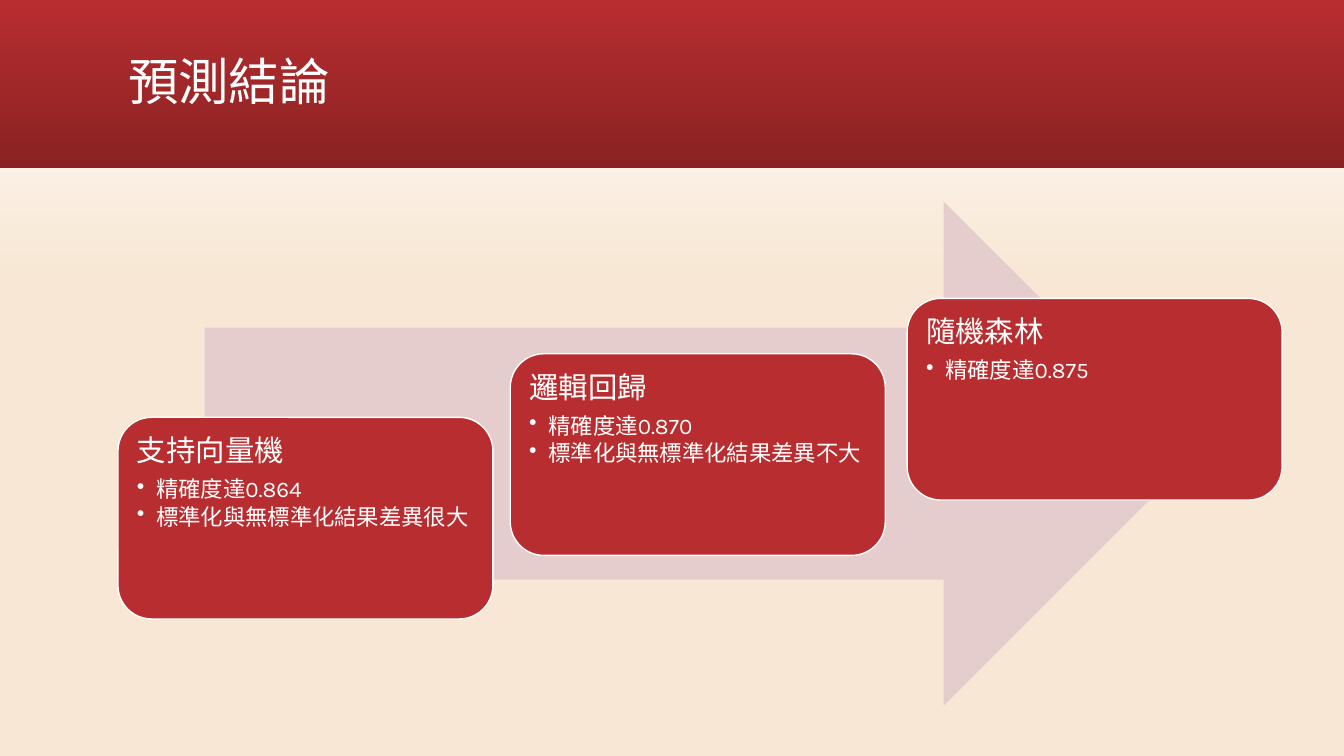
import dataclasses

import lxml.etree
import pptx
import pptx.dml.color
import pptx.enum.shapes
import pptx.enum.text
import pptx.oxml.ns
import pptx.util

SHAPE = pptx.enum.shapes.MSO_SHAPE


@dataclasses.dataclass(frozen=True)
class Theme:
    red: str = "B82D2F"
    dark_red: str = "8A2223"
    rose: str = "E6CDCD"
    cream: str = "F8E7D4"
    white: str = "FFFFFF"
    title_font: str = "Arial"
    card_font: str = "Karla"
    title_size: int = 36
    heading_size: int = 21
    bullet_size: int = 16
    heading_gap: float = 0.35
    bullet_gap: float = 0.15
    line_spacing: float = 0.9
    bullet_indent: float = 0.19
    card_inset: float = 0.09


class SlideBuilder:
    """Draws on one slide, with lengths in percent of its width and height."""

    def __init__(self, deck, theme):
        self.deck = deck
        self.theme = theme
        self.page = deck.slides.add_slide(deck.slide_layouts[5])

    def place(self, left, top, width, height):
        across, down = self.deck.slide_width / 100, self.deck.slide_height / 100
        return [round(length) for length in
                (left * across, top * down, width * across, height * down)]

    def color(self, value):
        return pptx.dml.color.RGBColor.from_string(value)

    def gradient(self, fill, angle, *stops):
        fill.gradient()
        fill.gradient_angle = angle
        for stop, (position, value) in zip(fill.gradient_stops, stops):
            stop.position = position
            stop.color.rgb = self.color(value)

    def background(self):
        self.gradient(self.page.background.fill, 90,
                      (0.63, self.theme.cream), (1, self.theme.white))

    def shape(self, kind, area, fill, line=None):
        shape = self.page.shapes.add_shape(kind, *self.place(*area))
        shape.shadow.inherit = False
        shape.fill.solid()
        shape.fill.fore_color.rgb = self.color(fill)
        if line:
            shape.line.color.rgb = self.color(line)
            shape.line.width = pptx.util.Pt(1)
        else:
            shape.line.fill.background()
        return shape

    def band(self, area):
        band = self.shape(SHAPE.RECTANGLE, area, self.theme.red)
        self.gradient(band.fill, 270, (0, self.theme.red), (1, self.theme.dark_red))

    def format(self, para, font, size, gap=0):
        para.alignment = pptx.enum.text.PP_ALIGN.LEFT
        para.line_spacing = self.theme.line_spacing
        para.space_before = pptx.util.Pt(0)
        para.space_after = pptx.util.Pt(size * gap)
        for span in para.runs:
            span.font.name = font
            span.font.size = pptx.util.Pt(size)
            span.font.color.rgb = self.color(self.theme.white)

    def title(self, text, area):
        """Fill the title placeholder and bring it in front of the band."""
        title = self.page.shapes.title
        title.left, title.top, title.width, title.height = self.place(*area)
        title.element.getparent().append(title.element)
        frame = title.text_frame
        frame.text = text
        frame.auto_size = pptx.enum.text.MSO_AUTO_SIZE.NONE
        frame.vertical_anchor = pptx.enum.text.MSO_ANCHOR.MIDDLE
        self.format(frame.paragraphs[0], self.theme.title_font, self.theme.title_size)

    def bullet(self, para):
        indent = pptx.util.Inches(self.theme.bullet_indent)
        properties = para._p.get_or_add_pPr()
        properties.set("marL", str(indent))
        properties.set("indent", str(-indent))
        mark = lxml.etree.SubElement(properties, pptx.oxml.ns.qn("a:buChar"))
        mark.set("char", "•")

    def card(self, area, heading, bullets):
        theme = self.theme
        box = self.shape(SHAPE.ROUNDED_RECTANGLE, area, theme.red, theme.white)
        frame = box.text_frame
        frame.word_wrap = True
        frame.vertical_anchor = pptx.enum.text.MSO_ANCHOR.TOP
        inset = pptx.util.Inches(theme.card_inset)
        frame.margin_left = frame.margin_right = inset
        frame.margin_top = frame.margin_bottom = inset
        frame.text = "\n".join([heading, *bullets])
        first, *rest = frame.paragraphs
        self.format(first, theme.card_font, theme.heading_size, theme.heading_gap)
        for para in rest:
            self.format(para, theme.card_font, theme.bullet_size, theme.bullet_gap)
            self.bullet(para)


CARD_SIZE = (27.9, 26.67)
CARDS = [
    (8.78, 55.2, "支持向量機", ["精確度達0.864", "標準化與無標準化結果差異很大"]),
    (37.97, 46.8, "邏輯回歸", ["精確度達0.870", "標準化與無標準化結果差異不大"]),
    (67.5, 39.47, "隨機森林", ["精確度達0.875"]),
]


def main():
    deck = pptx.Presentation()
    deck.slide_width = pptx.util.Inches(13.33)
    deck.slide_height = pptx.util.Inches(7.5)
    builder = SlideBuilder(deck, Theme())
    builder.background()
    builder.band((0, 0, 100, 22.22))
    builder.title("預測結論", (8.78, 1.47, 82.5, 19.33))
    builder.shape(SHAPE.RIGHT_ARROW, (15.23, 26.67, 73.74, 66.67), builder.theme.rose)
    for left, top, heading, bullets in CARDS:
        builder.card((left, top, *CARD_SIZE), heading, bullets)
    deck.save("out.pptx")


if __name__ == "__main__":
    main()
